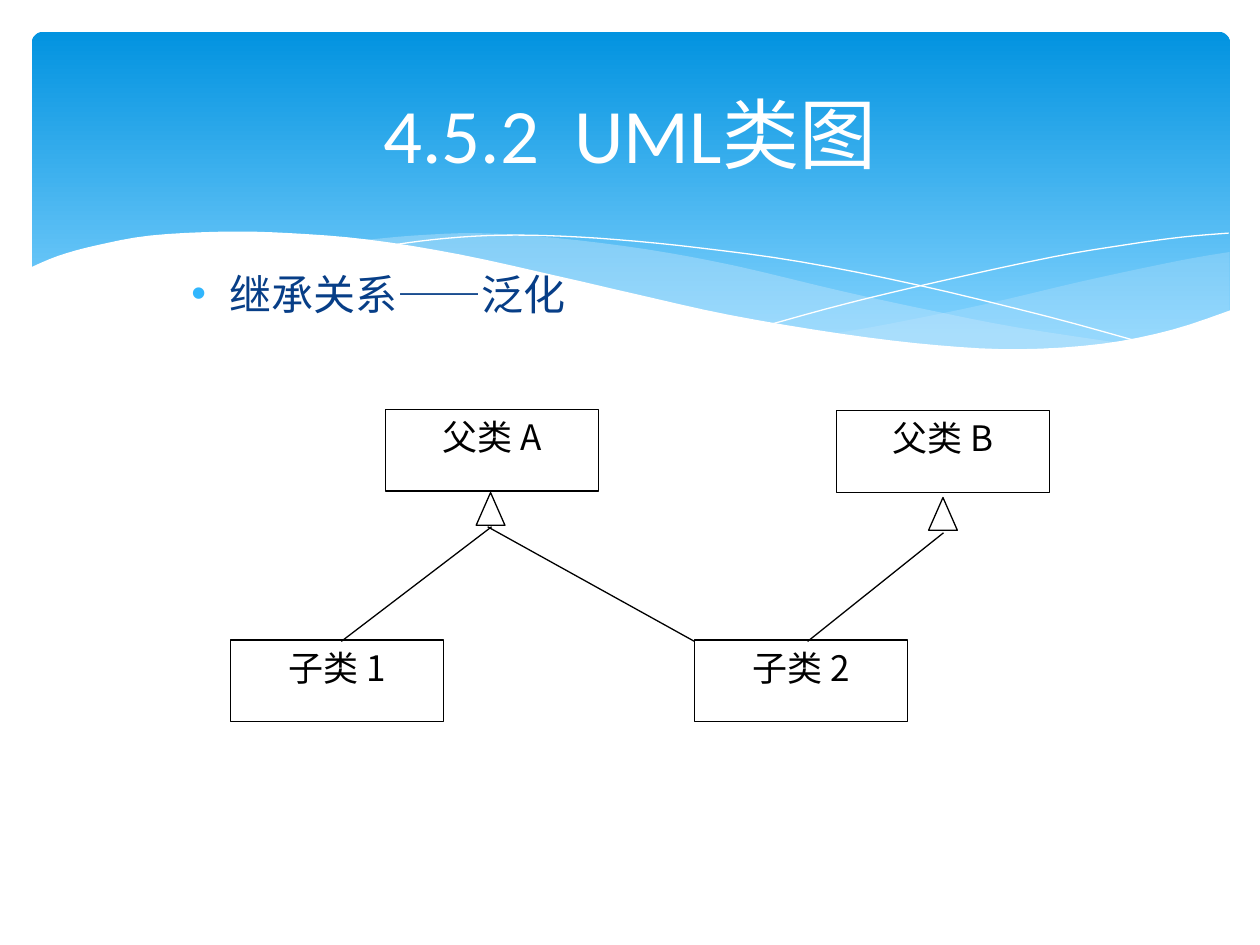
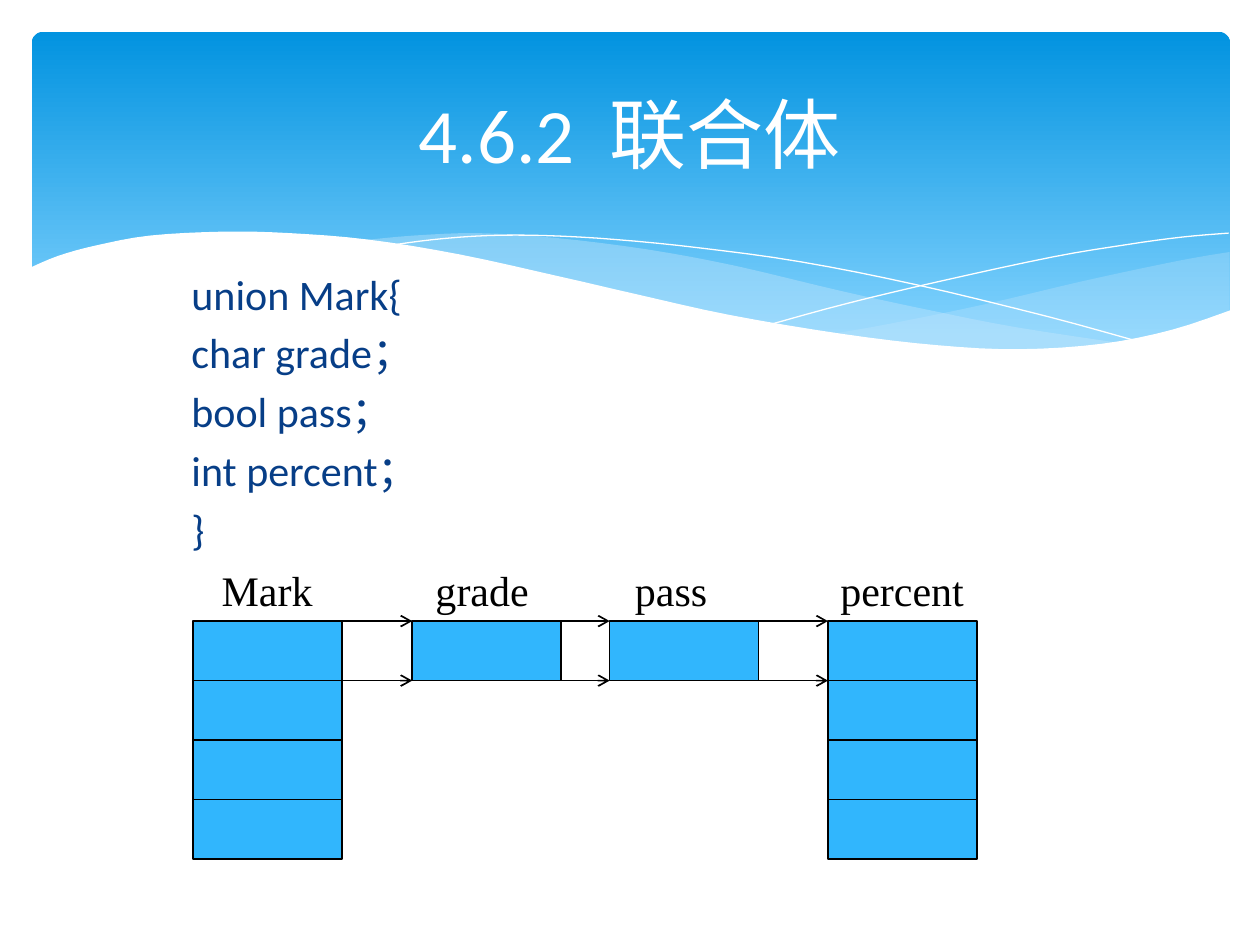
from lxml import etree
from pptx import Presentation
from pptx import util as u
from pptx.dml import color as dml
from pptx.enum import shapes, text
from pptx.oxml import ns

COLOURS = {
    "white": "FFFFFF", "black": "000000", "navy": "073E87", "cell": "31B6FD",
    "band_top": "0293E0", "band_low": "83D3FE", "wave": "C6E7FC",
}
LATIN, CJK, SERIF = "Calibri", "Noto Sans CJK SC", "Times New Roman"

BAND = (0.64, 0.64, 24.16, 6.86)
RIGHT_WAVE = [
    [(24.79, 5.08), (23.75, 5.26), (21.87, 5.66), (19.79, 6.15), (17.93, 6.53), (16.79, 6.73)],
    [(16.79, 6.73), (17.91, 6.88), (18.92, 6.99), (20.12, 7.04), (21.44, 7.04), (22.78, 6.86),
     (23.93, 6.58), (24.79, 6.27)],
]
LONG_WAVE = [
    [(7.26, 4.85), (8.33, 4.75), (9.65, 4.7), (11.23, 4.8), (13.06, 5.03), (14.83, 5.36),
     (16.97, 5.87), (18.82, 6.27), (20.5, 6.6), (22.68, 6.93)],
    [(22.68, 6.93), (21.54, 7.04), (20.22, 7.06), (18.69, 6.99), (16.89, 6.76), (14.83, 6.4),
     (12.47, 5.89), (10.26, 5.36), (8.69, 5.05), (7.26, 4.85)],
]
FALLING_LINE = [
    [(7.85, 4.95), (8.74, 4.83), (9.83, 4.75), (11, 4.75), (12.42, 4.83), (14.12, 5),
     (16.15, 5.28), (18.47, 5.74), (21.11, 6.38), (23.04, 6.91)],
]
RISING_LINE = [
    [(15.57, 6.53), (17.07, 6.12), (19, 5.66), (21.23, 5.18), (22.73, 4.93), (23.83, 4.78),
     (24.77, 4.7)],
]
WHITE_FRONT = [
    [(24.82, 6.25), (23.62, 6.65), (22.22, 6.93), (20.55, 7.04), (18.9, 6.96), (16.97, 6.73),
     (14.71, 6.35), (12.78, 5.92), (11.35, 5.59), (9.27, 5.13), (7.42, 4.83), (5.84, 4.7),
     (4.5, 4.67), (3.02, 4.75), (1.93, 4.95), (1.17, 5.16), (0.58, 5.41)],
    [(0.58, 8.36)],
    [(24.82, 8.36)],
]
WAVES = [
    (RIGHT_WAVE, {"fill": "wave", "opacity": 29}),
    (LONG_WAVE, {"fill": "wave", "opacity": 40}),
    (FALLING_LINE, {"line": "white", "weight": 0}),
    (RISING_LINE, {"line": "white", "weight": 0}),
    (WHITE_FRONT, {"fill": "white"}),
]
TITLE_AREA = (1.27, 0.94, 22.86, 3.48)
BODY_AREA = (3.61, 5.28, 20.12, 11.43)

CLASS_TITLE = "4.5.2  UML类图"
CLASS_BODY = [[("继承关系", LATIN), ("——", CJK), ("泛化", LATIN)]]
CLASS_SIZE = (4.29, 1.65)
CLASSES = [("父类 A", 7.77, 8.25), ("父类 B", 16.87, 8.28),
           ("子类 1", 4.65, 12.9), ("子类 2", 14, 12.9)]
TRIANGLE_SIZE = (0.58, 0.66)
TRIANGLES = [(9.6, 9.93), (18.72, 10.03)]
INHERITANCE = [((9.83, 10.62), (14, 12.93)), ((9.91, 10.62), (6.88, 12.93)),
               ((19.02, 10.74), (16.28, 12.93))]

UNION_TITLE = "4.6.2  联合体"
UNION_BODY = ["union Mark{", "char grade；", "bool pass；", "int percent；", "}"]
CELL_WIDTH, CELL_HEIGHT, CELL_TOP = 3, 1.2, 12.52
LABEL_TOP, LABEL_HEIGHT = 11.25, 1.27
MEMBERS = [
    {"name": "Mark", "left": 3.89, "bytes": 4, "label": (4.22, 2.36)},
    {"name": "grade", "left": 8.31, "bytes": 1, "label": (8.53, 2.41)},
    {"name": "pass", "left": 12.29, "bytes": 1, "label": (12.55, 1.98)},
    {"name": "percent", "left": 16.69, "bytes": 4, "label": (16.69, 3.02)},
]


def rgb(name):
    return dml.RGBColor.from_string(COLOURS[name])


def add_xml(parent, tag, **attributes):
    return etree.SubElement(parent, ns.qn(tag), attributes)


def paint(shape, fill=None, line=None, weight=0.75, opacity=100):
    shape.shadow.inherit = False
    if fill:
        shape.fill.solid()
        shape.fill.fore_color.rgb = rgb(fill)
        if opacity < 100:
            tint = shape.fill._xPr.find(".//" + ns.qn("a:srgbClr"))
            add_xml(tint, "a:alpha", val=str(opacity * 1000))
    else:
        shape.fill.background()
    if line:
        shape.line.color.rgb = rgb(line)
        shape.line.width = u.Pt(weight)
    else:
        shape.line.fill.background()


def add_block(page, kind, area, **look):
    shape = page.shapes.add_shape(kind, *map(u.Cm, area))
    paint(shape, **look)
    return shape


def write(box, lines, size=24, font=LATIN, colour="black", align="LEFT", anchor="TOP",
          before=0, bullet=None, wrap=True):
    frame = box.text_frame
    frame.word_wrap = wrap
    frame.vertical_anchor = getattr(text.MSO_ANCHOR, anchor)
    for index, line in enumerate(lines):
        para = frame.add_paragraph() if index else frame.paragraphs[0]
        para.alignment = getattr(text.PP_ALIGN, align)
        para.space_before = u.Pt(before)
        if bullet:
            settings = para._p.get_or_add_pPr()
            settings.set("marL", str(u.Cm(0.76)))
            settings.set("indent", str(-u.Cm(0.76)))
            add_xml(add_xml(settings, "a:buClr"), "a:srgbClr", val=COLOURS[bullet])
            add_xml(settings, "a:buFont", typeface="Arial")
            add_xml(settings, "a:buChar", char="•")
        for words, face in [(line, font)] if isinstance(line, str) else line:
            span = para.add_run()
            span.text = words
            span.font.name = face
            span.font.size = u.Pt(size)
            span.font.color.rgb = rgb(colour)
            add_xml(span._r.get_or_add_rPr(), "a:ea", typeface=CJK)


def add_text(page, area, lines, **format):
    box = page.shapes.add_textbox(*map(u.Cm, area))
    write(box, lines, **format)


def add_line(page, start, end, weight=0.75, arrow=False):
    ends = [u.Cm(value) for value in (*start, *end)]
    line = page.shapes.add_connector(shapes.MSO_CONNECTOR.STRAIGHT, *ends)
    line.line.color.rgb = rgb("black")
    line.line.width = u.Pt(weight)
    if arrow:
        add_xml(line.line._get_or_add_ln(), "a:tailEnd", type="arrow")
    add_xml(line._element.spPr, "a:effectLst")


def smooth(points, steps=4):
    padded = [points[0], *points, points[-1]]
    curve = [points[0]]
    for a, b, c, d in zip(padded, padded[1:], padded[2:], padded[3:]):
        for step in range(1, steps + 1):
            t = step / steps
            curve.append(tuple(
                (2 * q + (r - p) * t + (2 * p - 5 * q + 4 * r - s) * t ** 2
                 + (3 * q - p - 3 * r + s) * t ** 3) / 2
                for p, q, r, s in zip(a, b, c, d)))
    return curve


def add_wave(page, runs, **look):
    points = [(u.Cm(x), u.Cm(y)) for run in runs for x, y in smooth(run)]
    builder = page.shapes.build_freeform(*points[0])
    builder.add_line_segments(points[1:], close="fill" in look)
    paint(builder.convert_to_shape(), **look)


def add_page(deck, title):
    page = deck.slides.add_slide(deck.slide_layouts[6])
    band = add_block(page, shapes.MSO_SHAPE.ROUNDED_RECTANGLE, BAND)
    band.adjustments[0] = 0.034
    band.fill.gradient()
    band.fill.gradient_angle = 270
    for stop, place, name in zip(band.fill.gradient_stops, (0, 0.9), ("band_top", "band_low")):
        stop.position = place
        stop.color.rgb = rgb(name)
    for runs, look in WAVES:
        add_wave(page, runs, **look)
    add_text(page, TITLE_AREA, [title], size=44, colour="white", align="CENTER", anchor="MIDDLE")
    return page


def build_classes(deck):
    page = add_page(deck, CLASS_TITLE)
    add_text(page, BODY_AREA, CLASS_BODY, colour="navy", before=4.8, bullet="cell")
    for name, left, top in CLASSES:
        box = add_block(page, shapes.MSO_SHAPE.RECTANGLE, (left, top, *CLASS_SIZE), line="black")
        write(box, [name], size=20, font=CJK, align="CENTER")
    for corner in TRIANGLES:
        add_block(page, shapes.MSO_SHAPE.ISOSCELES_TRIANGLE, (*corner, *TRIANGLE_SIZE),
                  line="black")
    for start, end in INHERITANCE:
        add_line(page, start, end)


def build_union(deck):
    page = add_page(deck, UNION_TITLE)
    add_text(page, BODY_AREA, UNION_BODY, colour="navy", before=4.8)
    for member in MEMBERS:
        for row in range(member["bytes"]):
            area = (member["left"], CELL_TOP + row * CELL_HEIGHT, CELL_WIDTH, CELL_HEIGHT)
            add_block(page, shapes.MSO_SHAPE.RECTANGLE, area, fill="cell", line="black", weight=1)
        left, width = member["label"]
        add_text(page, (left, LABEL_TOP, width, LABEL_HEIGHT), [member["name"]],
                 font=SERIF, wrap=False)
    for member, following in zip(MEMBERS, MEMBERS[1:]):
        for y in (CELL_TOP, CELL_TOP + CELL_HEIGHT):
            add_line(page, (member["left"] + CELL_WIDTH, y), (following["left"], y),
                     weight=1, arrow=True)


deck = Presentation()
deck.slide_width, deck.slide_height = u.Cm(25.4), u.Cm(19.05)
build_classes(deck)
build_union(deck)
deck.save("out.pptx")
